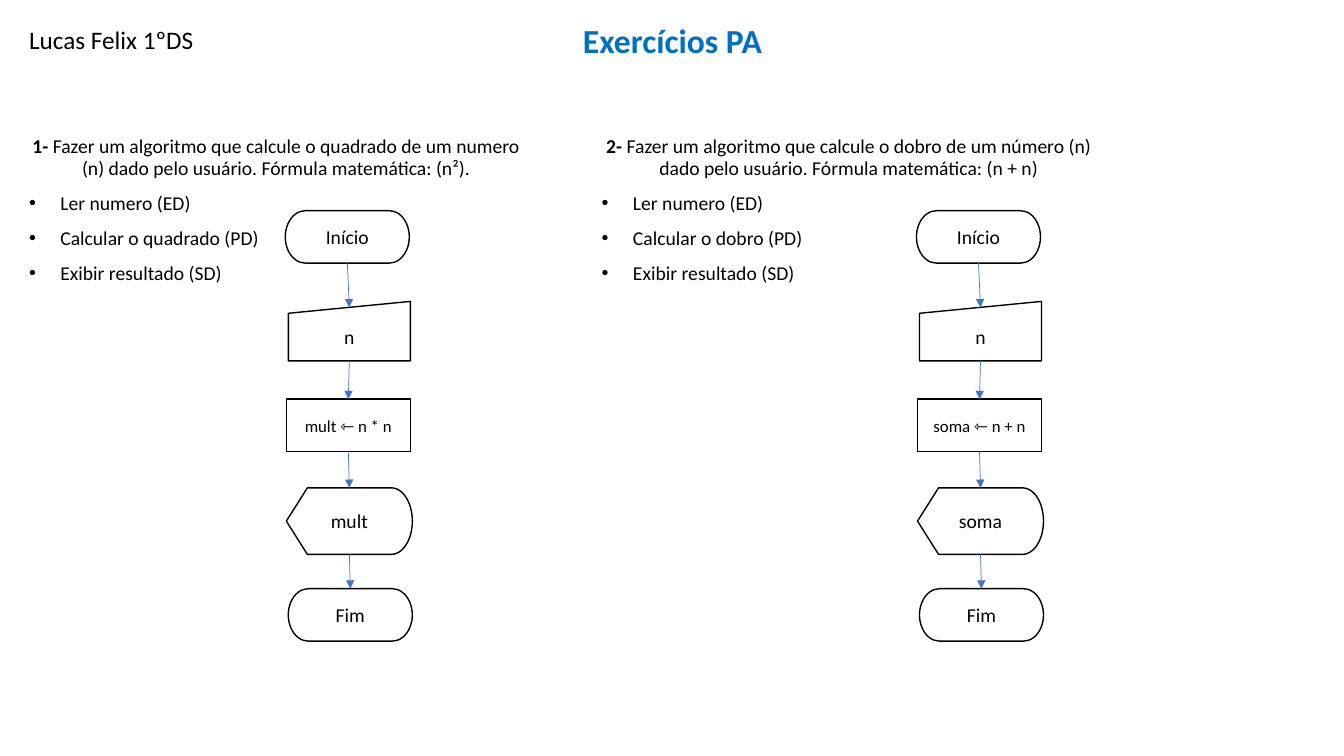
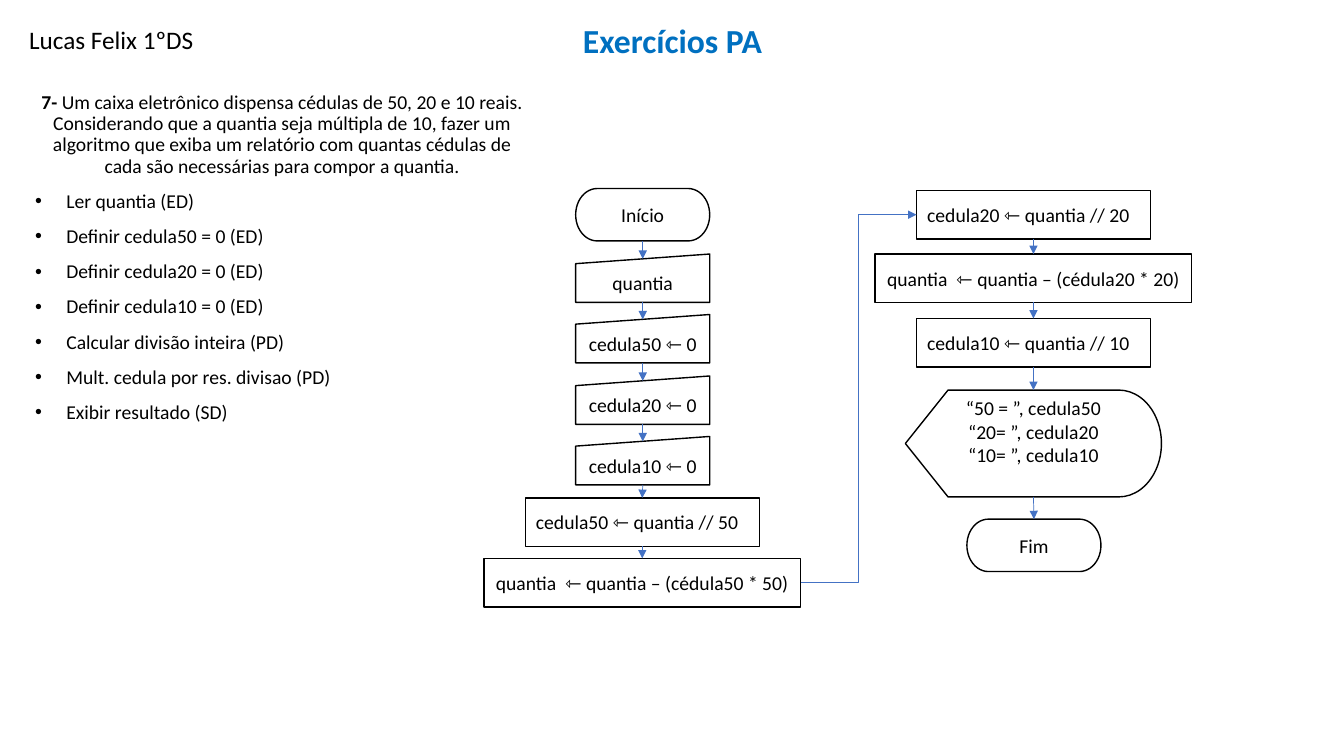
from typing import NamedTuple

from lxml.etree import SubElement
from pptx import Presentation
from pptx.dml.color import RGBColor
from pptx.enum.shapes import MSO_CONNECTOR as LINK, MSO_SHAPE as SHAPE
from pptx.enum.text import MSO_ANCHOR as ANCHOR, PP_ALIGN as ALIGN
from pptx.oxml.ns import qn
from pptx.util import Inches, Pt

# Shared style
BLACK = RGBColor(0x00, 0x00, 0x00)
WHITE = RGBColor(0xFF, 0xFF, 0xFF)
TITLE_BLUE = RGBColor(0x00, 0x70, 0xC0)
ARROW_BLUE = RGBColor(0x44, 0x72, 0xC4)
FONT = "Calibri"
TERMINATOR = SHAPE.FLOWCHART_TERMINATOR
INPUT = SHAPE.FLOWCHART_MANUAL_INPUT
PROCESS = SHAPE.FLOWCHART_PROCESS
DISPLAY = SHAPE.FLOWCHART_DISPLAY


class Step(NamedTuple):
    kind: int
    text: str
    left: float
    top: float
    width: float
    height: float
    size: int = 14
    right_inset: float = 0.05
    bottom_inset: float = 0.05


def write(frame, text, size, color=BLACK, align=ALIGN.CENTER):
    frame.word_wrap = True
    frame.text = text
    for para in frame.paragraphs:
        para.alignment = align
        for span in para.runs:
            span.font.name = FONT
            span.font.size = Pt(size)
            span.font.color.rgb = color


def add_arrow(page, kind, source, source_side, target, target_side):
    slant = target.height // 10 if target.auto_shape_type == INPUT else 0
    arrow = page.shapes.add_connector(
        kind, 0, 0, target.left + target.width // 2, target.top + slant)
    arrow.begin_connect(source, source_side)
    if not slant:
        arrow.end_connect(target, target_side)
    arrow.line.color.rgb = ARROW_BLUE
    arrow.line.width = Pt(0.5)
    properties = arrow._element.spPr
    SubElement(properties.find(qn("a:ln")), qn("a:tailEnd"), type="triangle")
    SubElement(properties, qn("a:effectLst"))


# Exercises: left, top, number, statement, bullet items
squares_and_doubles = [
    (0.19, 1.31, "1- ",
     "Fazer um algoritmo que calcule o quadrado de um numero (n) dado pelo "
     "usuário. Fórmula matemática: (n²).",
     ["Ler numero (ED)", "Calcular o quadrado (PD)", "Exibir resultado (SD)"]),
    (5.87, 1.31, "2- ",
     "Fazer um algoritmo que calcule o dobro de um número (n) dado pelo "
     "usuário. Fórmula matemática: (n + n)",
     ["Ler numero (ED)", "Calcular o dobro (PD)", "Exibir resultado (SD)"]),
]
cash_machine = [
    (0.25, 0.87, "7- ",
     "Um caixa eletrônico dispensa cédulas de 50, 20 e 10 reais. Considerando "
     "que a quantia seja múltipla de 10, fazer um algoritmo que exiba um "
     "relatório com quantas cédulas de cada são necessárias para compor a "
     "quantia.",
     ["Ler quantia (ED)", "Definir cedula50 = 0 (ED)",
      "Definir cedula20 = 0 (ED)", "Definir cedula10 = 0 (ED)",
      "Calcular divisão inteira (PD)", "Mult. cedula por res. divisao (PD)",
      "Exibir resultado (SD)"]),
]

# Flowcharts: one list of steps per column
number_flows = [
    [Step(TERMINATOR, "Início", left, 2.09, 1.23, 0.52),
     Step(INPUT, "n", left + 0.03, 2.99, 1.21, 0.59),
     Step(PROCESS, f"{result} ⇽ {formula}", left + 0.01, 3.96, 1.23, 0.52, 12),
     Step(DISPLAY, result, left + 0.01, 4.84, 1.25, 0.66),
     Step(TERMINATOR, "Fim", left + 0.03, 5.84, 1.23, 0.52)]
    for left, result, formula in [(2.83, "mult", "n * n"),
                                  (9.09, "soma", "n + n")]
]
cash_flows = [
    [Step(TERMINATOR, "Início", 5.71, 1.87, 1.33, 0.52),
     *[Step(INPUT, text, 5.71, top, 1.33, 0.48)
       for text, top in [("quantia", 2.52), ("cedula50 ⇽ 0", 3.12),
                         ("cedula20 ⇽ 0", 3.73), ("cedula10 ⇽ 0", 4.33)]],
     Step(PROCESS, "cedula50 ⇽ quantia // 50", 5.21, 4.94, 2.32, 0.48,
          right_inset=0.15),
     Step(PROCESS, "quantia  ⇽ quantia – (cédula50 * 50)",
          4.8, 5.54, 3.14, 0.48)],
    [Step(PROCESS, "cedula20 ⇽ quantia // 20", 9.09, 1.89, 2.32, 0.48,
          right_inset=0.15),
     Step(PROCESS, "quantia  ⇽ quantia – (cédula20 * 20)",
          8.68, 2.52, 3.14, 0.48),
     Step(PROCESS, "cedula10 ⇽ quantia // 10", 9.09, 3.16, 2.32, 0.48,
          right_inset=0.15),
     Step(DISPLAY, "“50 = ”, cedula50\n“20= ”, cedula20\n“10= ”, cedula10",
          8.98, 3.87, 2.54, 1.06, bottom_inset=0.29),
     Step(TERMINATOR, "Fim", 9.59, 5.15, 1.33, 0.52)],
]

deck = Presentation()
deck.slide_width, deck.slide_height = Inches(13.33), Inches(7.5)

# Each page: exercises, flowcharts, and whether the columns are one flow
for exercises, flows, joined in [(squares_and_doubles, number_flows, False),
                                 (cash_machine, cash_flows, True)]:
    page = deck.slides.add_slide(deck.slide_layouts[6])

    # Title and author
    title = page.shapes.add_textbox(
        Inches(1.67), Inches(0.05), Inches(10), Inches(0.6)).text_frame
    write(title, "Exercícios PA", 24, TITLE_BLUE)
    title.vertical_anchor = ANCHOR.BOTTOM
    title.paragraphs[0].line_spacing = 0.9
    title.paragraphs[0].runs[0].font.bold = True
    author = page.shapes.add_textbox(
        Inches(0.19), Inches(0.19), Inches(2.2), Inches(0.4)).text_frame
    write(author, "Lucas Felix 1ºDS", 18, align=ALIGN.LEFT)

    # Exercise statements with bullets
    for left, top, number, statement, items in exercises:
        body = page.shapes.add_textbox(
            Inches(left), Inches(top), Inches(5.1), Inches(5.97)).text_frame
        write(body, "\n".join([number, *items]), 14, align=ALIGN.LEFT)
        heading, *bullets = body.paragraphs
        heading.alignment = ALIGN.CENTER
        heading.runs[0].font.bold = True
        span = heading.add_run()
        span.text = statement
        span.font.name, span.font.size = FONT, Pt(14)
        span.font.color.rgb = BLACK
        for para in body.paragraphs:
            para.line_spacing = 0.9
            para.space_before = Pt(10)
        for para in bullets:
            properties = para._p.get_or_add_pPr()
            properties.set("marL", str(Inches(0.31)))
            properties.set("indent", str(-Inches(0.31)))
            SubElement(properties, qn("a:buFont"), typeface="Arial")
            SubElement(properties, qn("a:buChar"), char="•")

    # Flowchart steps and the arrows between them
    columns = []
    for flow in flows:
        boxes = []
        for step in flow:
            box = page.shapes.add_shape(
                step.kind, Inches(step.left), Inches(step.top),
                Inches(step.width), Inches(step.height))
            box.shadow.inherit = False
            box.fill.solid()
            box.fill.fore_color.rgb = WHITE
            box.line.color.rgb = BLACK
            box.line.width = Pt(1)
            frame = box.text_frame
            write(frame, step.text, step.size)
            frame.vertical_anchor = ANCHOR.MIDDLE
            frame.margin_left = Inches(0.05)
            frame.margin_right = Inches(step.right_inset)
            frame.margin_bottom = Inches(step.bottom_inset)
            boxes.append(box)
        for upper, lower in zip(boxes, boxes[1:]):
            add_arrow(page, LINK.STRAIGHT, upper, 2, lower, 0)
        columns.append(boxes)
    if joined:
        add_arrow(page, LINK.ELBOW, columns[0][-1], 3, columns[1][0], 1)

deck.save("out.pptx")
